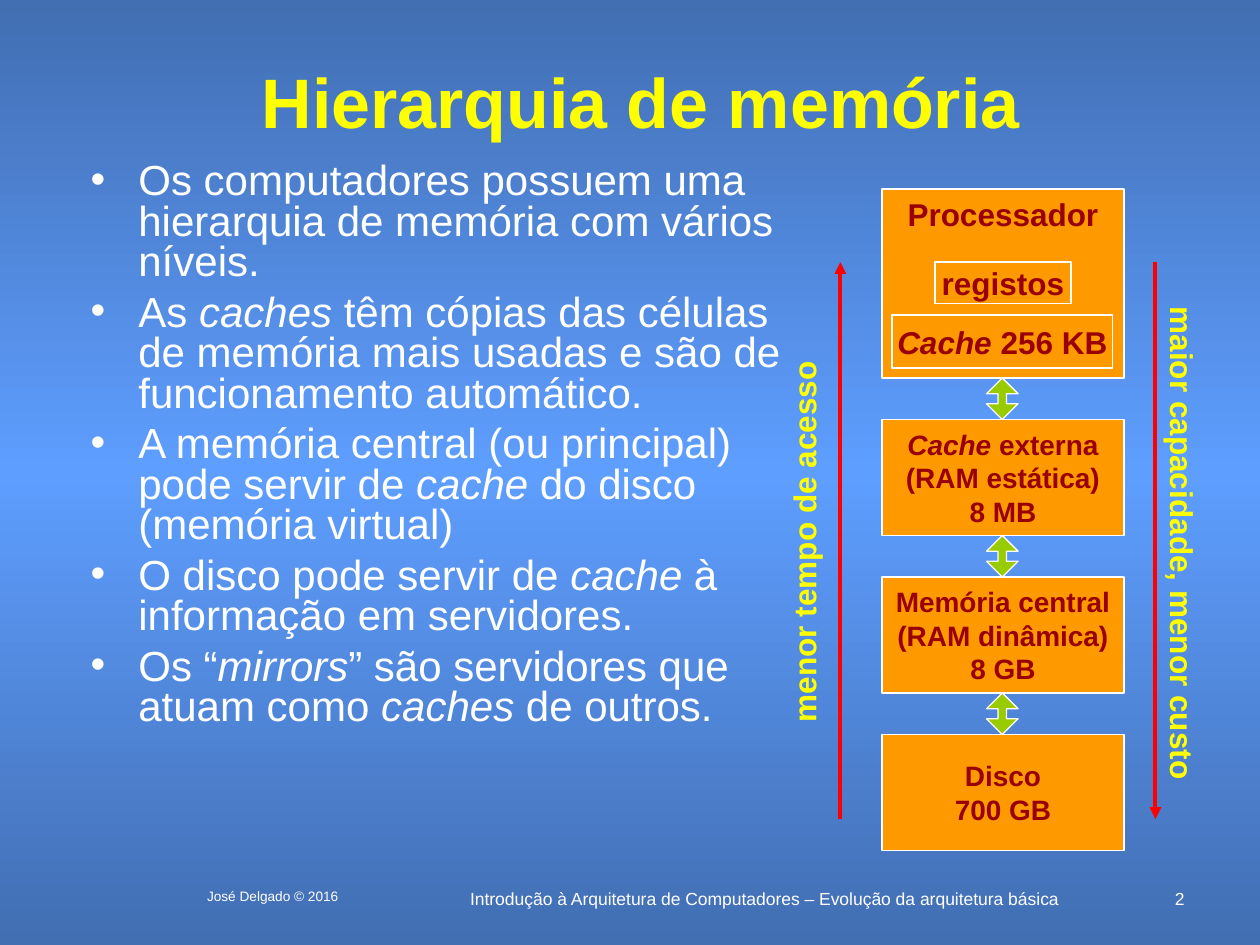
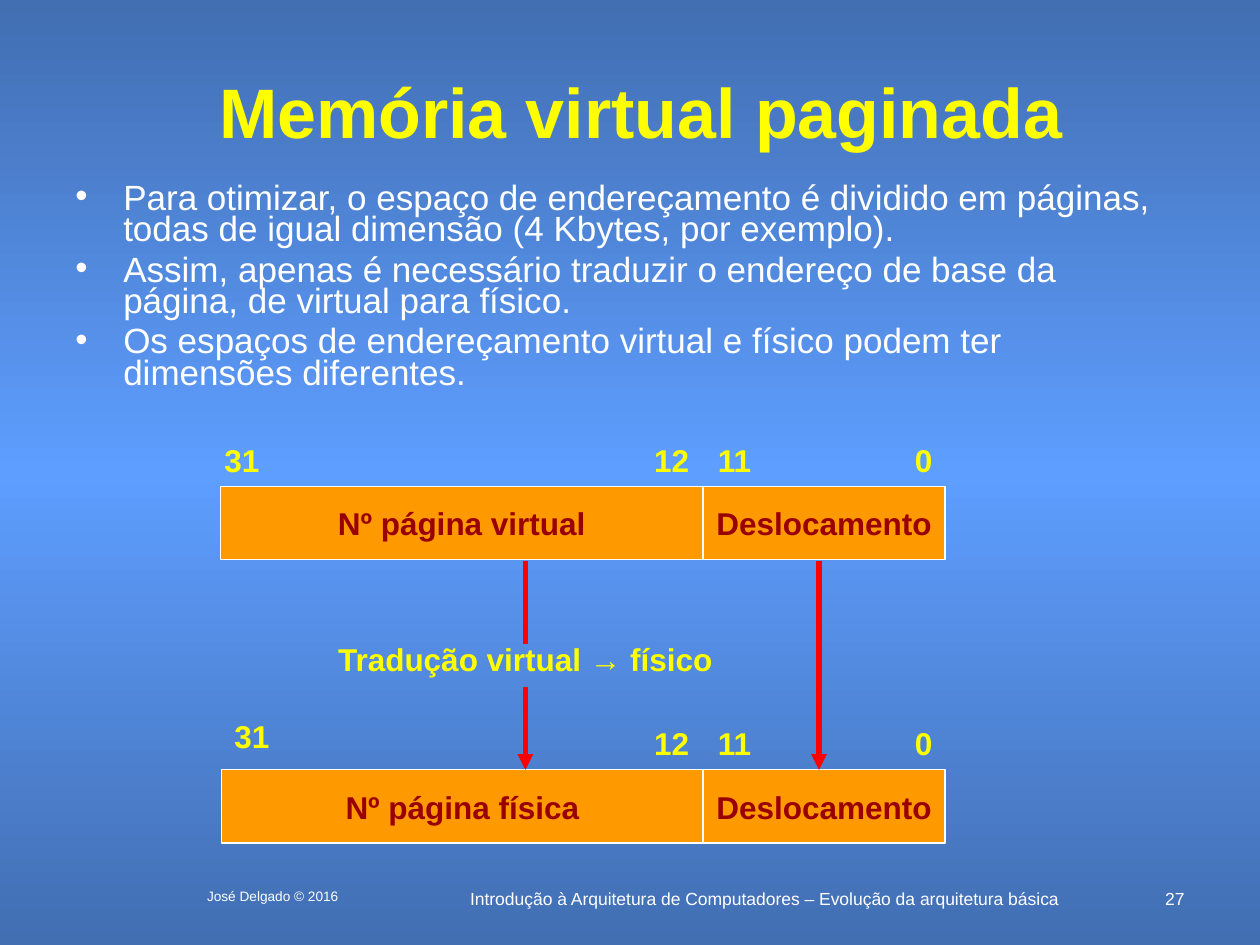
import copy
import pptx
import pptx.util
import pptx.dml.color
import pptx.enum.shapes
import pptx.enum.text
import pptx.oxml
import pptx.oxml.ns
import lxml.etree

Inches = pptx.util.Inches
Pt = pptx.util.Pt
SHAPE = pptx.enum.shapes.MSO_SHAPE
ALIGN = pptx.enum.text.PP_ALIGN
ANCHOR = pptx.enum.text.MSO_ANCHOR
qn = pptx.oxml.ns.qn

COLORS = {
    "edge": "426EB2",
    "glow": "5E9EFF",
    "white": "FFFFFF",
    "title": "FFFF00",
    "box": "FF9900",
    "ink": "990000",
    "line": "FF0000",
    "link": "99CC00",
}
FONT = "Arial"
OWNER = "José Delgado © 2016"
COURSE = "Introdução à Arquitetura de Computadores – Evolução da arquitetura básica"


def tint(name):
    return pptx.dml.color.RGBColor.from_string(COLORS[name])


def put(frame, text, size=18, color="title", bold=True, align=ALIGN.CENTER,
        anchor=ANCHOR.TOP, wrap=True, bullet=False, lead=None, gap=0):
    frame.word_wrap = wrap
    frame.auto_size = pptx.enum.text.MSO_AUTO_SIZE.NONE
    frame.vertical_anchor = anchor
    for index, line in enumerate(text.split("\n")):
        para = frame.paragraphs[0] if index == 0 else frame.add_paragraph()
        if bullet:
            mark(para)
        para.alignment = align
        if lead:
            para.line_spacing = lead
        if gap and index:
            para.space_before = Pt(gap)
        for part, words in enumerate(line.split("_")):
            if not words:
                continue
            run = para.add_run()
            run.text = words
            font = run.font
            font.name = FONT
            font.size = Pt(size)
            font.bold = bold
            font.italic = part % 2 == 1
            font.color.rgb = tint(color)


def mark(para):
    props = para._p.get_or_add_pPr()
    props.set("marL", str(Inches(0.38)))
    props.set("indent", str(-Inches(0.38)))
    hue = lxml.etree.SubElement(props, qn("a:buClr"))
    lxml.etree.SubElement(hue, qn("a:srgbClr"), val=COLORS["white"])
    lxml.etree.SubElement(props, qn("a:buFont"), typeface=FONT)
    lxml.etree.SubElement(props, qn("a:buChar"), char="•")


def label(slide, place, text, turn=0, **form):
    area = slide.shapes.add_textbox(*map(Inches, place))
    area.rotation = turn
    put(area.text_frame, text, **form)


def shape(slide, kind, place, fill):
    item = slide.shapes.add_shape(kind, *map(Inches, place))
    item.shadow.inherit = False
    item.fill.solid()
    item.fill.fore_color.rgb = tint(fill)
    item.line.color.rgb = tint("white")
    item.line.width = Pt(0.75)
    return item


def box(slide, place, text, size=18, anchor=ANCHOR.MIDDLE):
    item = shape(slide, SHAPE.RECTANGLE, place, "box")
    put(item.text_frame, text, size=size, color="ink", anchor=anchor, wrap=False)


def rule(slide, x, start, end, width, head=True):
    line = slide.shapes.add_connector(
        pptx.enum.shapes.MSO_CONNECTOR.STRAIGHT,
        Inches(x), Inches(start), Inches(x), Inches(end))
    line.line.color.rgb = tint("line")
    line.line.width = Pt(width)
    props = line.element.spPr
    if head:
        lxml.etree.SubElement(props.find(qn("a:ln")), qn("a:tailEnd"), type="triangle")
    lxml.etree.SubElement(props, qn("a:effectLst"))


def paint(master):
    fill = master.background.fill
    fill.gradient()
    fill.gradient_angle = 90
    stops = master.element.find(".//" + qn("a:gsLst"))
    stops.append(copy.deepcopy(stops[0]))
    for stop, name, spot in zip(fill.gradient_stops, ("edge", "glow", "edge"), (0, 0.5, 1)):
        stop.color.rgb = tint(name)
        stop.position = spot


def start(deck, title, top, page):
    slide = deck.slides.add_slide(deck.slide_layouts[5])
    head = slide.shapes.title
    head.left, head.top, head.width, head.height = map(Inches, (0.75, top, 8.67, 0.75))
    put(head.text_frame, title, size=40, anchor=ANCHOR.MIDDLE)
    foot = {"color": "white", "bold": False}
    label(slide, (3.33, 7, 5.47, 0.25), COURSE, size=10, **foot)
    label(slide, (9.08, 7, 0.42, 0.17), page, size=10, align=ALIGN.RIGHT, **foot)
    label(slide, (1.33, 7, 1.67, 0.25), OWNER, size=7.8, **foot)
    return slide


def points(slide, place, lines, size, lead, gap):
    label(slide, place, "\n".join(lines), size=size, color="white", bold=False,
          align=ALIGN.LEFT, bullet=True, lead=lead, gap=gap)


def levels(deck):
    slide = start(deck, "Hierarquia de memória", 0.42, "2")
    points(slide, (0.62, 1.25, 5.71, 5.46), (
        "Os computadores possuem uma hierarquia de memória com vários níveis.",
        "As _caches_ têm cópias das células de memória mais usadas e são de funcionamento automático.",
        "A memória central (ou principal) pode servir de _cache_ do disco (memória virtual)",
        "O disco pode servir de _cache_ à informação em servidores.",
        "Os “_mirrors_” são servidores que atuam como _caches_ de outros.",
    ), 24, 0.8, 6)
    box(slide, (7, 1.5, 1.92, 1.5), "Processador", anchor=ANCHOR.TOP)
    box(slide, (7.42, 2.08, 1.08, 0.33), "registos")
    box(slide, (7.08, 2.5, 1.75, 0.42), "_Cache_ 256 KB")
    stores = (
        "_Cache_ externa\n(RAM estática)\n8 MB",
        "Memória central\n(RAM dinâmica)\n8 GB",
        "Disco\n700 GB",
    )
    for index, store in enumerate(stores):
        top = 3 + 1.25 * index
        box(slide, (7, top + 0.33, 1.92, 0.92), store, size=16)
        link = shape(slide, SHAPE.UP_DOWN_ARROW, (7.83, top, 0.25, 0.33), "link")
        link.adjustments[0] = 0.5
        link.adjustments[1] = 0.27
    rule(slide, 6.67, 6.5, 2.08, 2.25)
    rule(slide, 9.17, 2.08, 6.5, 2.25)
    label(slide, (4.85, 4.1, 3.06, 0.4), "menor tempo de acesso", turn=270, wrap=False)
    label(slide, (7.41, 4.11, 3.95, 0.4), "maior capacidade, menor custo", turn=90, wrap=False)


def fields(slide, left, top, name, first):
    split = 5.58
    box(slide, (left, top, split - left, 0.58), name)
    box(slide, (split, top, 1.92, 0.58), "Deslocamento")
    label(slide, (*first, 0.5, 0.4), "31")
    for x, bit in ((split - 0.5, "12"), (split, "11"), (split + 1.5, "0")):
        label(slide, (x, top - 0.41, 0.5, 0.4), bit)


def paging(deck):
    slide = start(deck, "Memória virtual paginada", 0.5, "27")
    points(slide, (0.5, 1.42, 8.88, 1.9), (
        "Para otimizar, o espaço de endereçamento é dividido em páginas, todas de igual dimensão (4 Kbytes, por exemplo).",
        "Assim, apenas é necessário traduzir o endereço de base da página, de virtual para físico.",
        "Os espaços de endereçamento virtual e físico podem ter dimensões diferentes.",
    ), 20, 0.75, 5)
    fields(slide, 1.75, 3.86, "Nº página virtual", (1.67, 3.45))
    fields(slide, 1.76, 6.11, "Nº página física", (1.75, 5.64))
    rule(slide, 6.5, 4.45, 6.11, 3)
    rule(slide, 4.17, 4.45, 5.11, 3, head=False)
    rule(slide, 4.17, 5.45, 6.11, 3)
    label(slide, (2.42, 5.03, 3.5, 0.4), "Tradução virtual → físico")


def main():
    deck = pptx.Presentation()
    deck.slide_width = Inches(10)
    deck.slide_height = Inches(7.5)
    paint(deck.slide_master)
    levels(deck)
    paging(deck)
    deck.save("out.pptx")


if __name__ == "__main__":
    main()
